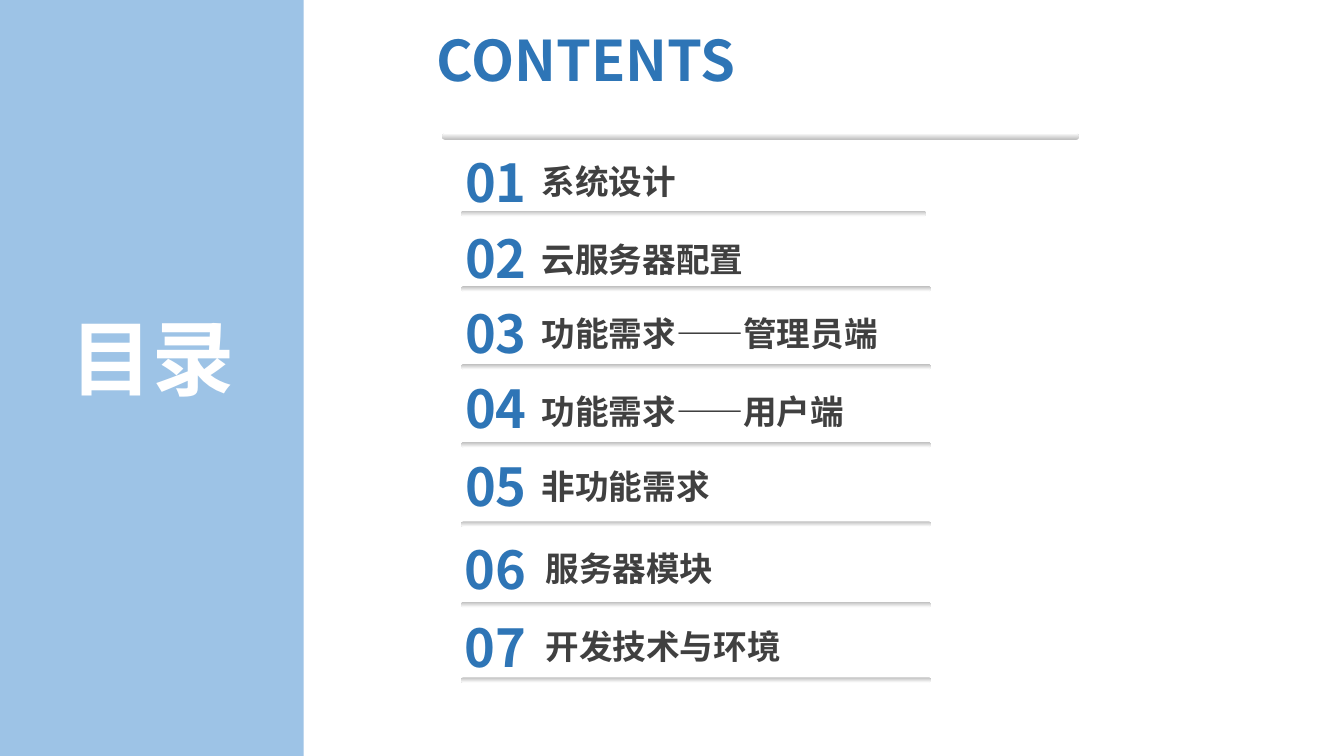
from dataclasses import dataclass

from lxml.etree import SubElement
from pptx import Presentation
from pptx.dml.color import RGBColor
from pptx.enum.shapes import MSO_SHAPE
from pptx.enum.text import MSO_AUTO_SIZE, PP_ALIGN
from pptx.oxml.ns import qn
from pptx.slide import Slide
from pptx.util import Inches, Pt

RECTANGLE = MSO_SHAPE.RECTANGLE
ROUNDED = MSO_SHAPE.ROUNDED_RECTANGLE
LEFT = PP_ALIGN.LEFT
CENTER = PP_ALIGN.CENTER
FIT_SHAPE = MSO_AUTO_SIZE.SHAPE_TO_FIT_TEXT
NO_FIT = MSO_AUTO_SIZE.NONE

FONT = "Noto Sans CJK SC"
PANEL_BLUE = RGBColor(0x9D, 0xC3, 0xE6)
TITLE_BLUE = RGBColor(0x2E, 0x75, 0xB6)
DARK_GRAY = RGBColor(0x40, 0x40, 0x40)
RULE_GRAY = RGBColor(0xBF, 0xBF, 0xBF)
WHITE = RGBColor(0xFF, 0xFF, 0xFF)

SLIDE_WIDTH = 10
SLIDE_HEIGHT = SLIDE_WIDTH * 9 / 16


@dataclass(frozen=True)
class Box:
    left: float
    top: float
    width: float
    height: float


@dataclass(frozen=True)
class Style:
    size: float
    color: RGBColor
    alignment: PP_ALIGN = LEFT
    side_inset: float = 0.07
    end_inset: float = 0.04
    auto_size: MSO_AUTO_SIZE = FIT_SHAPE


@dataclass(frozen=True)
class Entry:
    title: str
    number_box: Box
    title_box: Box
    rule_top: float
    rule_width: float = 3.5
    roomy: bool = False


ENTRIES = [
    Entry("系统设计", Box(3.29, 1.08, 0.8, 0.55), Box(3.96, 1.16, 2.28, 0.38), 1.57, 3.46),
    Entry("云服务器配置", Box(3.29, 1.64, 0.8, 0.55), Box(3.96, 1.74, 2.75, 0.38), 2.13),
    Entry("功能需求——管理员端", Box(3.29, 2.2, 0.8, 0.55), Box(3.96, 2.29, 2.75, 0.38), 2.71),
    Entry("功能需求——用户端", Box(3.29, 2.76, 0.8, 0.55), Box(3.96, 2.87, 3.32, 0.44), 3.29),
    Entry("非功能需求", Box(3.29, 3.34, 0.8, 0.55), Box(3.96, 3.43, 2.59, 0.38), 3.88),
    Entry("服务器模块", Box(3.36, 3.95, 0.88, 0.54), Box(3.96, 4.03, 3.21, 0.42), 4.48, roomy=True),
    Entry("开发技术与环境", Box(3.36, 4.53, 0.8, 0.76), Box(3.96, 4.61, 4.51, 0.34), 5.04, roomy=True),
]

HEADING = Style(44, WHITE, CENTER)
SUBHEADING = Style(30, TITLE_BLUE)
NUMBER = Style(28, TITLE_BLUE, CENTER)
TITLE = Style(18, DARK_GRAY)
ROOMY_NUMBER = Style(28, TITLE_BLUE, LEFT, 0.1, 0.05, NO_FIT)
ROOMY_TITLE = Style(18, DARK_GRAY, LEFT, 0.1, 0.05, NO_FIT)


def add_shape(slide: Slide, kind: MSO_SHAPE, box: Box):
    """Add a preset shape without outline or shadow."""
    shape = slide.shapes.add_shape(
        kind, Inches(box.left), Inches(box.top), Inches(box.width), Inches(box.height)
    )
    shape.shadow.inherit = False
    shape.line.fill.background()
    return shape


def add_panel(slide: Slide, box: Box) -> None:
    """Add the solid side panel."""
    fill = add_shape(slide, RECTANGLE, box).fill
    fill.solid()
    fill.fore_color.rgb = PANEL_BLUE


def add_rule(slide: Slide, box: Box, angle: int = 270) -> None:
    """Add a rounded bar fading from gray to white."""
    shape = add_shape(slide, ROUNDED, box)
    shape.adjustments[0] = 0.5
    shape.fill.gradient()
    shape.fill.gradient_angle = angle
    for stop, color, position in zip(shape.fill.gradient_stops, (RULE_GRAY, WHITE), (0, 1)):
        stop.color.rgb = color
        stop.position = position


def add_text(slide: Slide, text: str, box: Box, style: Style) -> None:
    """Add a text box holding one bold run."""
    shape = slide.shapes.add_textbox(
        Inches(box.left), Inches(box.top), Inches(box.width), Inches(box.height)
    )
    frame = shape.text_frame
    frame.word_wrap = True
    frame.auto_size = style.auto_size
    frame.margin_left = frame.margin_right = Inches(style.side_inset)
    frame.margin_top = frame.margin_bottom = Inches(style.end_inset)
    paragraph = frame.paragraphs[0]
    paragraph.alignment = style.alignment
    run = paragraph.add_run()
    run.text = text
    run.font.size = Pt(style.size)
    run.font.bold = True
    run.font.color.rgb = style.color
    run.font.name = FONT
    SubElement(run._r.get_or_add_rPr(), qn("a:ea")).set("typeface", FONT)


def add_entry(slide: Slide, number: int, entry: Entry) -> None:
    """Add one numbered contents line with its rule."""
    number_style, title_style = (ROOMY_NUMBER, ROOMY_TITLE) if entry.roomy else (NUMBER, TITLE)
    add_text(slide, f"{number:02d}", entry.number_box, number_style)
    add_text(slide, entry.title, entry.title_box, title_style)
    add_rule(slide, Box(3.43, entry.rule_top, entry.rule_width, 0.04))


def main() -> None:
    """Build and save the contents slide."""
    presentation = Presentation()
    presentation.slide_width = Inches(SLIDE_WIDTH)
    presentation.slide_height = Inches(SLIDE_HEIGHT)
    slide = presentation.slides.add_slide(presentation.slide_layouts[6])
    add_panel(slide, Box(0, 0, 2.26, SLIDE_HEIGHT))
    add_text(slide, "目录", Box(0.44, 2.25, 1.39, 0.82), HEADING)
    add_text(slide, "CONTENTS", Box(3.18, 0.15, 3.48, 0.58), SUBHEADING)
    add_rule(slide, Box(3.29, 0.99, 4.74, 0.05), angle=90)
    for number, entry in enumerate(ENTRIES, start=1):
        add_entry(slide, number, entry)
    presentation.save("out.pptx")


if __name__ == "__main__":
    main()
